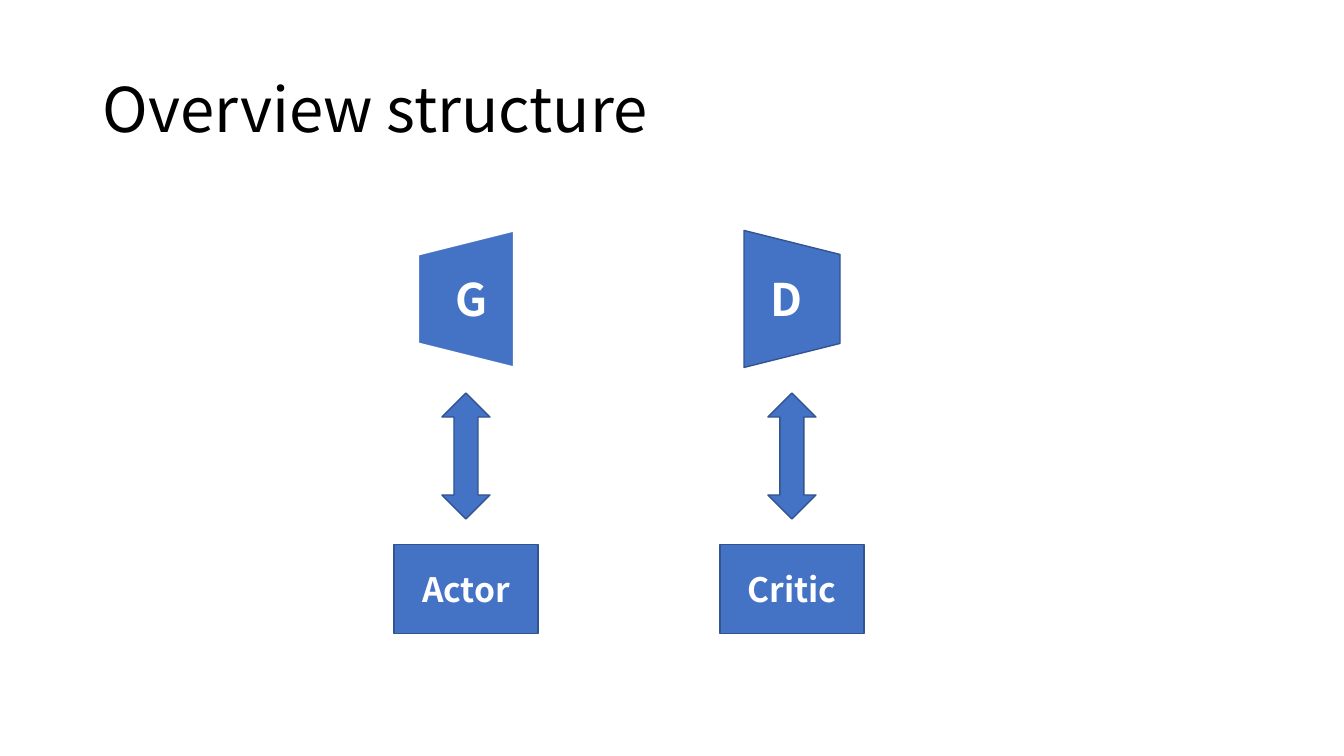
import pptx
import pptx.dml.color
import pptx.enum.shapes
import pptx.enum.text
import pptx.util

SHAPE = pptx.enum.shapes.MSO_SHAPE
ALIGN = pptx.enum.text.PP_ALIGN
FONT = "Noto Sans CJK SC"
BLUE, NAVY, WHITE, BLACK = "4472C4", "325491", "FFFFFF", "000000"

SLIDE = (1344, 756)
TITLE = ("Overview structure", (93, 40, 1159, 146))
# column centre, network, its rotation, text direction, outline, outline pt, role
COLUMNS = [
    (466, "G", 270, "vert", WHITE, 1.5, "Actor"),
    (792, "D", 90, "vert270", NAVY, 1, "Critic"),
]
# row centre, width, height
NETWORK_ROW = (299, 137, 96)
ARROW_ROW = (456, 48, 126)
ROLE_ROW = (589, 144, 89)


def px(n):
    return pptx.util.Emu(round(n * 914400 / 100.8))


def color(value):
    return pptx.dml.color.RGBColor.from_string(value)


def write(s, text, size, ink, bold=False, align=ALIGN.CENTER):
    tf = s.text_frame
    tf.word_wrap = True
    tf.vertical_anchor = pptx.enum.text.MSO_ANCHOR.MIDDLE
    p = tf.paragraphs[0]
    p.alignment = align
    r = p.add_run()
    r.text = text
    font = {"name": FONT, "size": pptx.util.Pt(size), "bold": bold}
    for key, value in font.items():
        setattr(r.font, key, value)
    r.font.color.rgb = color(ink)
    return p


def add_block(slide, kind, center, row, line=NAVY, width=1):
    """Add a blue shape centred on a column and a row."""
    middle, w, h = row
    s = slide.shapes.add_shape(
        kind, px(center - w / 2), px(middle - h / 2), px(w), px(h))
    s.shadow.inherit = False
    s.fill.solid()
    s.fill.fore_color.rgb = color(BLUE)
    s.line.color.rgb = color(line)
    s.line.width = pptx.util.Pt(width)
    return s


def main():
    prs = pptx.Presentation()
    prs.slide_width, prs.slide_height = map(px, SLIDE)
    slide = prs.slides.add_slide(prs.slide_layouts[6])

    text, box = TITLE
    title = slide.shapes.add_textbox(*map(px, box))
    write(title, text, 44, BLACK, align=ALIGN.LEFT).line_spacing = 0.9

    for center, name, rotation, direction, line, width, role in COLUMNS:
        network = add_block(
            slide, SHAPE.TRAPEZOID, center, NETWORK_ROW, line, width)
        network.rotation = rotation
        write(network, name, 32, WHITE, bold=True)
        network.element.txBody.bodyPr.set("vert", direction)
        add_block(slide, SHAPE.UP_DOWN_ARROW, center, ARROW_ROW)
        s = add_block(slide, SHAPE.RECTANGLE, center, ROLE_ROW)
        write(s, role, 24, WHITE, bold=True)

    prs.save("out.pptx")


if __name__ == "__main__":
    main()
